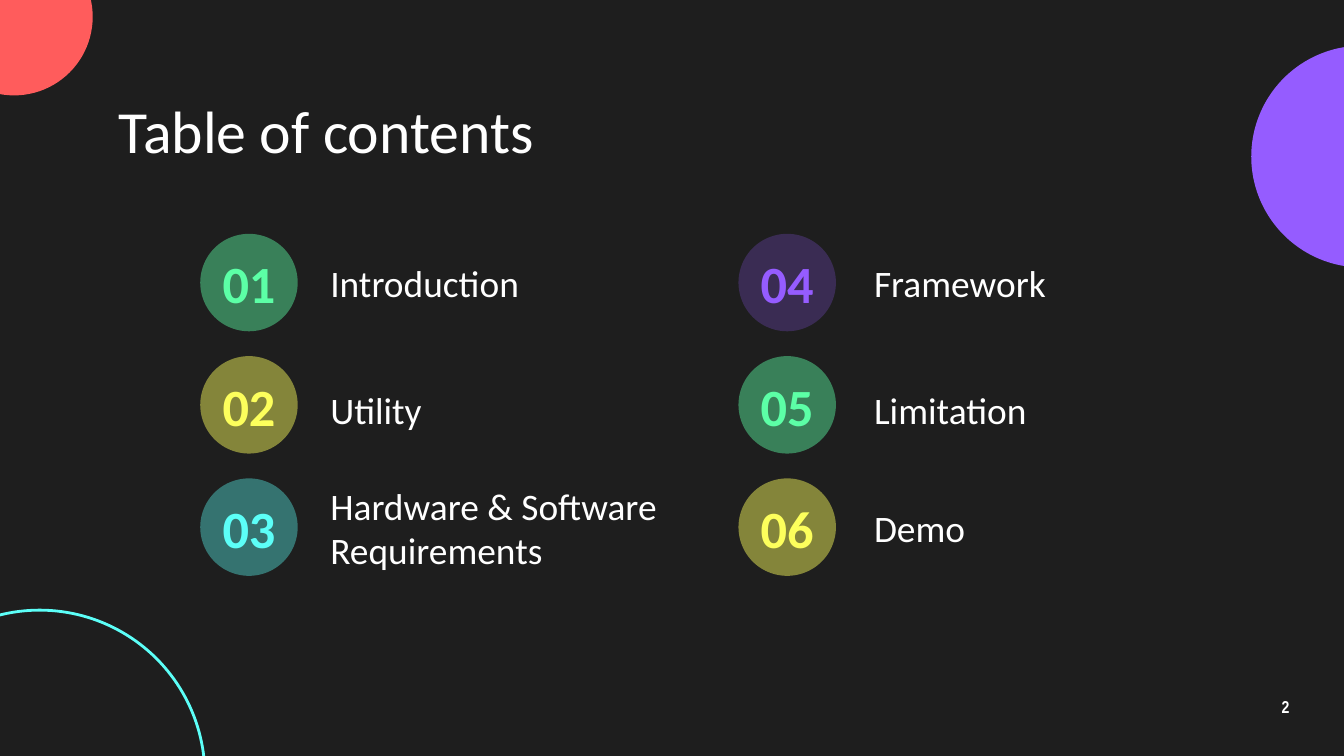
from dataclasses import dataclass

from lxml.etree import SubElement
from pptx import Presentation
from pptx.dml.color import RGBColor
from pptx.enum.shapes import MSO_SHAPE as Preset
from pptx.enum.text import MSO_ANCHOR as Anchor, PP_ALIGN as Align
from pptx.oxml.ns import qn
from pptx.slide import Slide
from pptx.util import Emu, Pt

EMU_PER_PX = 4572
WHITE, DARK, CORAL = "FFFFFF", "1E1E1E", "FF5C5C"
GREEN, YELLOW, CYAN, PURPLE = "5CFFA6", "FDFF5C", "5CFFF8", "955CFF"
OPACITY = {GREEN: 44, YELLOW: 46, CYAN: 38, PURPLE: 24}
BADGE_SIZE, BADGE_TOP, BADGE_PITCH = 145, 348, 182
BADGE_LEFTS = (298, 1099)
LABEL_LEFTS = (472, 1281)
LABEL_TOPS = (361, 550, 725)
ROWS = len(LABEL_TOPS)


@dataclass(frozen=True)
class Topic:
    """One entry of the table of contents."""

    label: str
    color: str
    label_width: int = 394


TOPICS = (
    Topic("Introduction", GREEN),
    Topic("Utility", YELLOW),
    Topic("Hardware & Software Requirements", CYAN, 692),
    Topic("Framework", PURPLE),
    Topic("Limitation", GREEN),
    Topic("Demo", YELLOW),
)


def px(length: int) -> Emu:
    """Turn a length in px into EMU."""
    return Emu(length * EMU_PER_PX)


def rgb(color: str) -> RGBColor:
    """Turn a hex string into a colour."""
    return RGBColor.from_string(color)


def add_circle(slide: Slide, left: int, top: int, size: int, *, fill: str | None = None,
               line: str | None = None, opacity: int = 100) -> None:
    """Draw a circle with an optional fill, outline and opacity in percent."""
    shape = slide.shapes.add_shape(Preset.OVAL, px(left), px(top), px(size), px(size))
    shape.shadow.inherit = False
    if fill:
        shape.fill.solid()
        shape.fill.fore_color.rgb = rgb(fill)
        if opacity < 100:
            color = shape.fill._xPr.find(qn("a:solidFill"))[0]
            SubElement(color, qn("a:alpha"), val=str(opacity * 1000))
    else:
        shape.fill.background()
    if line:
        shape.line.color.rgb = rgb(line)
        shape.line.width = Pt(1.5)
    else:
        shape.line.fill.background()


def add_text(slide: Slide, text: str, left: int, top: int, width: int, height: int, *,
             size: float, color: str = WHITE, font: str = "Calibri", bold: bool = False,
             align: Align = Align.LEFT, spacing: float = 1.0) -> None:
    """Write one vertically centred paragraph in a wrapping text box."""
    frame = slide.shapes.add_textbox(px(left), px(top), px(width), px(height)).text_frame
    frame.word_wrap = True
    frame.vertical_anchor = Anchor.MIDDLE
    frame.margin_left = frame.margin_right = frame.margin_top = frame.margin_bottom = px(20)
    paragraph = frame.paragraphs[0]
    paragraph.alignment = align
    paragraph.line_spacing = spacing
    run = paragraph.add_run()
    run.text = text
    run.font.name = font
    run.font.size = Pt(size)
    run.font.bold = bold
    run.font.color.rgb = rgb(color)


def add_topic(slide: Slide, index: int, topic: Topic) -> None:
    """Draw the numbered badge and label of a topic, filling column by column."""
    column, row = divmod(index, ROWS)
    left, top = BADGE_LEFTS[column], BADGE_TOP + row * BADGE_PITCH
    add_circle(slide, left, top, BADGE_SIZE, fill=topic.color, opacity=OPACITY[topic.color])
    add_text(slide, f"{index + 1:02}", left, top + 23, BADGE_SIZE, 100,
             size=28, color=topic.color, bold=True, align=Align.CENTER)
    add_text(slide, topic.label, LABEL_LEFTS[column], LABEL_TOPS[row], topic.label_width, 120,
             size=20)


def main() -> None:
    """Build and save the table of contents slide."""
    presentation = Presentation()
    presentation.slide_width, presentation.slide_height = px(2000), px(1125)
    slide = presentation.slides.add_slide(presentation.slide_layouts[6])
    slide.background.fill.solid()
    slide.background.fill.fore_color.rgb = rgb(DARK)

    add_circle(slide, 1862, 68, 330, fill=PURPLE)
    add_circle(slide, -96, -92, 234, fill=CORAL)
    add_circle(slide, -187, 908, 492, line=CYAN)
    add_text(slide, "Table of contents", 157, 142, 1688, 102, size=32)
    for index, topic in enumerate(TOPICS):
        add_topic(slide, index, topic)
    add_text(slide, "2", 1853, 1020, 120, 68, size=9.2, font="Arial Narrow", bold=True,
             align=Align.CENTER, spacing=0.9)

    presentation.save("out.pptx")


if __name__ == "__main__":
    main()
